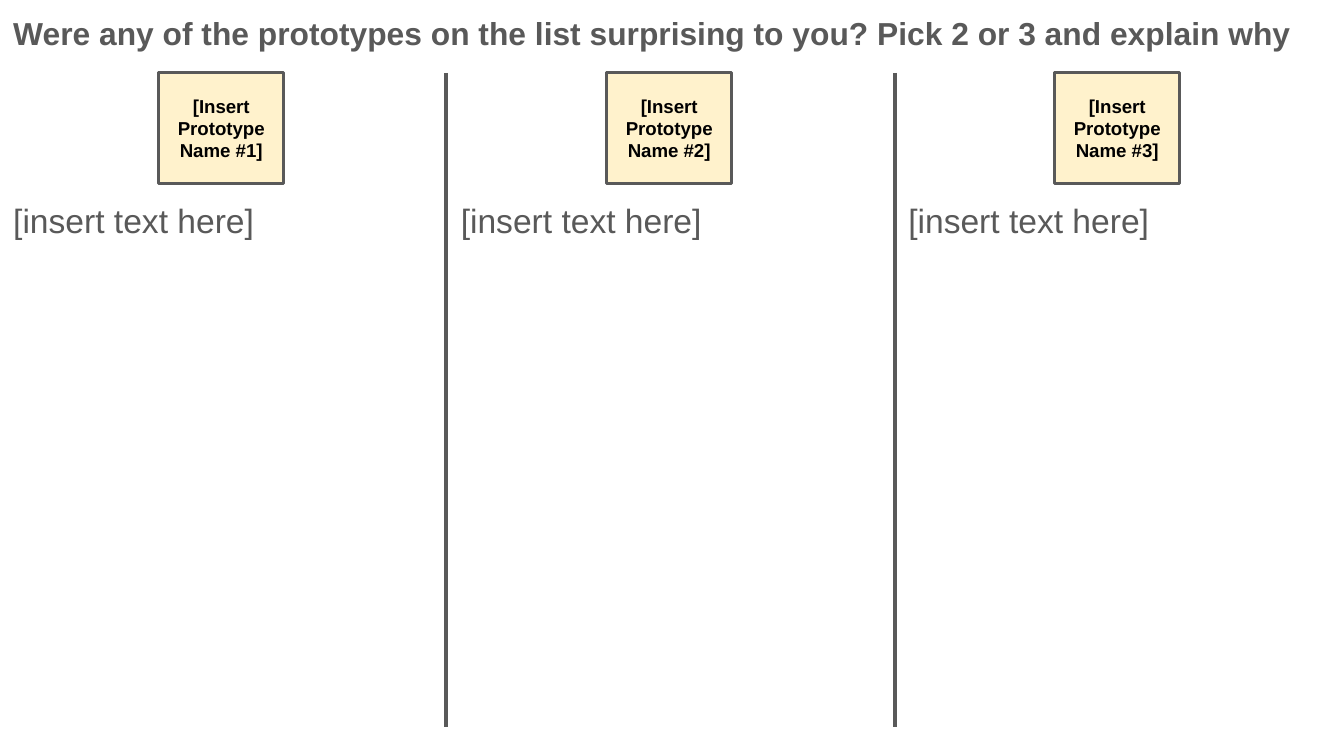
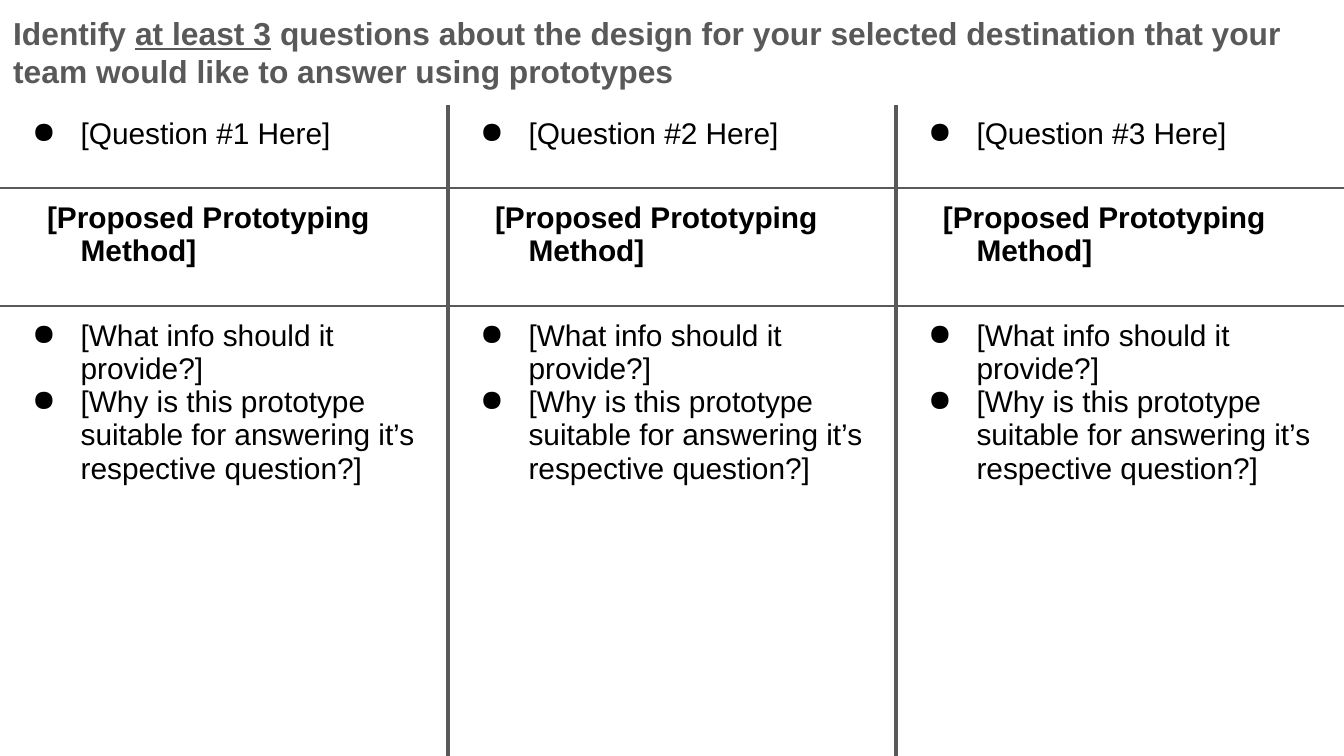
from lxml import etree
from pptx import Presentation
from pptx.dml.color import RGBColor
from pptx.enum.shapes import MSO_CONNECTOR, MSO_SHAPE
from pptx.enum.text import MSO_ANCHOR, PP_ALIGN
from pptx.oxml.ns import qn
from pptx.util import Pt

STRAIGHT = MSO_CONNECTOR.STRAIGHT
RECTANGLE = MSO_SHAPE.RECTANGLE
TOP, MIDDLE = MSO_ANCHOR.TOP, MSO_ANCHOR.MIDDLE
LEFT, CENTER = PP_ALIGN.LEFT, PP_ALIGN.CENTER

GRAY = RGBColor(0x59, 0x59, 0x59)
CREAM = RGBColor(0xFF, 0xF2, 0xCC)
BLACK = RGBColor(0x00, 0x00, 0x00)

FONT = "Arial"
INSET = 7.2
WIDTH, HEIGHT = 720, 405
COLUMN = WIDTH / 3
THICK, THIN = 2.25, 1.5


class Worksheet:
    """Holds the shared style and the slide being filled."""

    def __init__(self):
        self.deck = Presentation()
        self.deck.slide_width, self.deck.slide_height = Pt(WIDTH), Pt(HEIGHT)
        self.page = None

    def new_page(self):
        self.page = self.deck.slides.add_slide(self.deck.slide_layouts[6])

    def set_frame(self, frame, anchor=TOP):
        frame.word_wrap = True
        frame.vertical_anchor = anchor
        frame.margin_left = frame.margin_right = Pt(INSET)
        frame.margin_top = frame.margin_bottom = Pt(INSET)

    def style(self, para, size, color, bold=False, align=LEFT):
        para.alignment = align
        for span in para.runs:
            span.font.name, span.font.size = FONT, Pt(size)
            span.font.color.rgb, span.font.bold = color, bold

    def text(self, left, top, width, height, words, size, bold=False):
        box = self.page.shapes.add_textbox(Pt(left), Pt(top), Pt(width), Pt(height))
        self.set_frame(box.text_frame)
        para = box.text_frame.paragraphs[0]
        para.text = words
        self.style(para, size, GRAY, bold)
        return para

    def title(self, before, underlined="", after=""):
        para = self.text(0, 0, WIDTH, 36.7, before, 17, bold=True)
        if underlined:
            for words in (underlined, after):
                para.add_run().text = words
            self.style(para, 17, GRAY, bold=True)
            para.runs[1].font.underline = True

    def card(self, left, top, width, height, words):
        box = self.page.shapes.add_shape(
            RECTANGLE, Pt(left), Pt(top), Pt(width), Pt(height))
        box.shadow.inherit = False
        box.fill.solid()
        box.fill.fore_color.rgb = CREAM
        box.line.color.rgb, box.line.width = GRAY, Pt(THIN)
        self.set_frame(box.text_frame, MIDDLE)
        box.text_frame.text = words
        self.style(box.text_frame.paragraphs[0], 10, BLACK, True, CENTER)

    def divider(self, left, top, bottom):
        line = self.page.shapes.add_connector(
            STRAIGHT, Pt(left), Pt(top), Pt(left), Pt(bottom))
        line.line.color.rgb, line.line.width = GRAY, Pt(THICK)
        etree.SubElement(line._element.spPr, qn("a:effectLst"))

    def indent(self, para, hanging, bullet):
        props = para._p.get_or_add_pPr()
        props.set("marL", str(Pt(36)))
        props.set("indent", str(-Pt(hanging)))
        if bullet:
            color = etree.SubElement(props, qn("a:buClr"))
            etree.SubElement(color, qn("a:srgbClr"), val=str(BLACK))
            etree.SubElement(props, qn("a:buChar"), char="●")
        else:
            etree.SubElement(props, qn("a:buNone"))

    def borders(self, cell, widths):
        """Draw the sides given a width and hide the others."""
        props = cell._tc.get_or_add_tcPr()
        for side, width in widths.items():
            line = etree.SubElement(props, qn("a:ln" + side), w=str(Pt(width)))
            if width:
                fill = etree.SubElement(line, qn("a:solidFill"))
                etree.SubElement(fill, qn("a:srgbClr"), val=str(GRAY))
            else:
                etree.SubElement(line, qn("a:noFill"))

    def grid(self, top, heights, rows):
        """Each row is (lines per column, bold); bold rows have no bullets."""
        count = len(rows[0][0])
        table = self.page.shapes.add_table(
            len(rows), count, Pt(0), Pt(top), Pt(WIDTH), Pt(sum(heights))).table
        table.first_row = table.horz_banding = False
        for i, (columns, bold) in enumerate(rows):
            table.rows[i].height = Pt(heights[i])
            for j, lines in enumerate(columns):
                cell = table.cell(i, j)
                self.set_frame(cell.text_frame)
                cell.margin_left = cell.margin_right = Pt(INSET)
                cell.margin_top = cell.margin_bottom = Pt(INSET)
                cell.text_frame.text = "\n".join(lines)
                for para in cell.text_frame.paragraphs:
                    self.style(para, 16, BLACK, bold)
                    self.indent(para, 18 if bold else 26, not bold)
                self.borders(cell, {
                    "L": THICK if j else 0,
                    "R": THICK if j < count - 1 else 0,
                    "T": THIN if i else 0,
                    "B": THIN if i < len(rows) - 1 else 0,
                })
                cell.fill.background()


def surprising_prototypes(sheet):
    sheet.new_page()
    sheet.title("Were any of the prototypes on the list surprising to you? "
                "Pick 2 or 3 and explain why")
    # Answer areas
    for i in range(3):
        sheet.text(i * 239.75, 100, 239, 304.6, "[insert text here]", 18)
    # Name cards
    for i in range(3):
        sheet.card(85 + i * COLUMN, 38.8, 67, 59.6,
                   f"[Insert Prototype Name #{i + 1}]")
    # Column dividers
    for left in (239, 479.5):
        sheet.divider(left, 39, 389.5)


def design_questions(sheet):
    sheet.new_page()
    # Questions, methods and reasons
    questions = [[f"[Question #{i} Here]"] for i in (1, 2, 3)]
    methods = [["[Proposed Prototyping Method]"]] * 3
    reasons = [["[What info should it provide?]",
                "[Why is this prototype suitable for answering it’s "
                "respective question?]"]] * 3
    sheet.grid(56, (44.6, 63.4, 241),
               [(questions, False), (methods, True), (reasons, False)])
    sheet.title("Identify ", "at least 3",
                " questions about the design for your selected destination "
                "that your team would like to answer using prototypes")


def main():
    sheet = Worksheet()
    surprising_prototypes(sheet)
    design_questions(sheet)
    sheet.deck.save("out.pptx")


if __name__ == "__main__":
    main()
